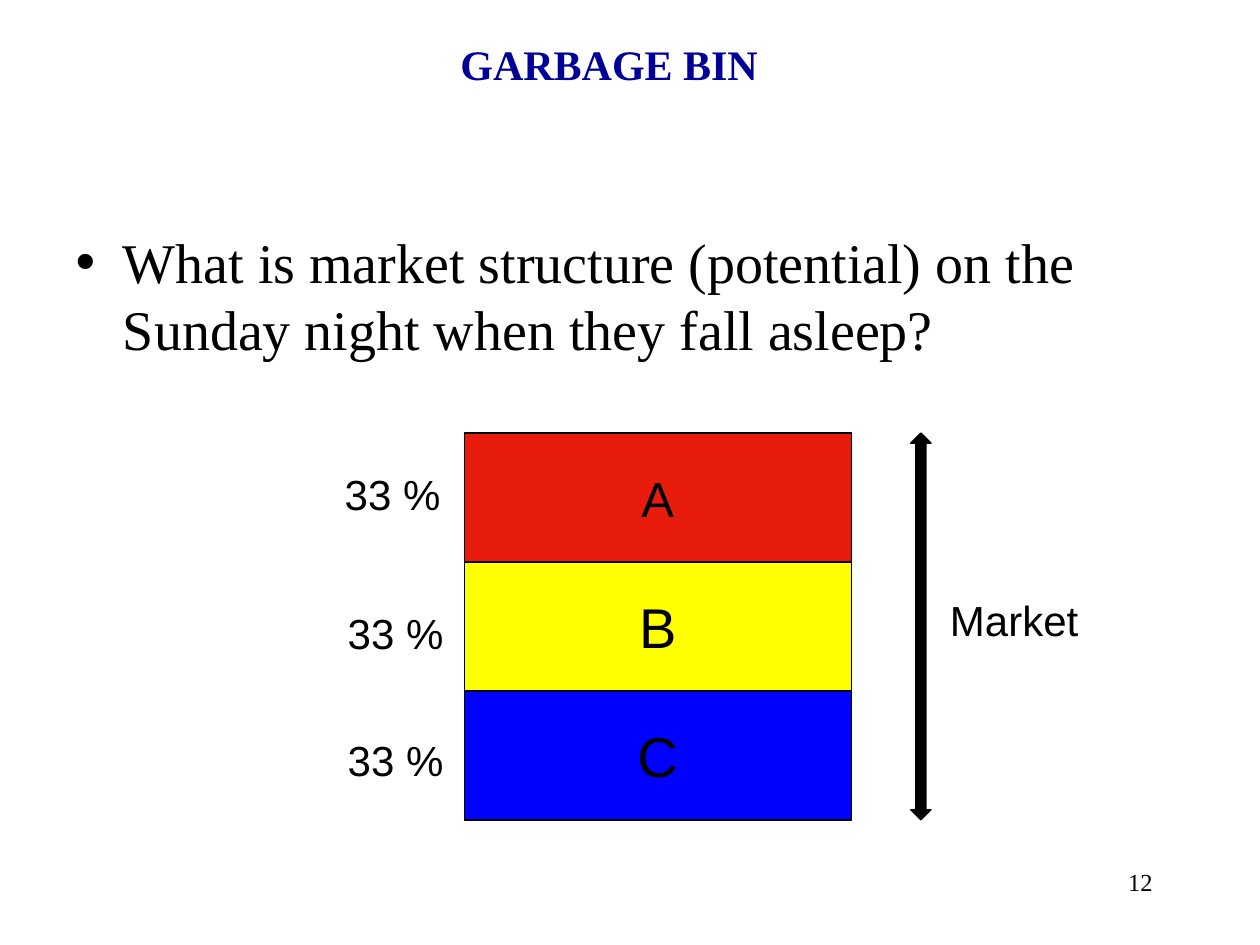
from dataclasses import dataclass

from pptx import Presentation
from pptx.dml.color import RGBColor
from pptx.enum.shapes import MSO_SHAPE
from pptx.enum.text import MSO_ANCHOR, MSO_AUTO_SIZE, PP_ALIGN
from pptx.util import Cm, Pt

RECTANGLE, ARROW = MSO_SHAPE.RECTANGLE, MSO_SHAPE.UP_DOWN_ARROW
LEFT, CENTER, RIGHT = PP_ALIGN.LEFT, PP_ALIGN.CENTER, PP_ALIGN.RIGHT
TOP, MIDDLE = MSO_ANCHOR.TOP, MSO_ANCHOR.MIDDLE
FIXED = MSO_AUTO_SIZE.NONE


@dataclass(frozen=True)
class Theme:
    serif: str = "Times New Roman"
    sans: str = "Arial"
    ink: str = "000000"
    title: str = "000099"
    red: str = "E81C0C"
    yellow: str = "FFFF00"
    blue: str = "0000FF"
    body_size: int = 32
    small_letter_size: int = 28
    label_size: int = 24
    number_size: int = 14
    line_width: float = 0.75


theme = Theme()


def write(shape, text, font, size, color=theme.ink, align=LEFT, anchor=TOP, wrap=True):
    """Put one formatted paragraph in a shape."""
    frame = shape.text_frame
    frame.text = text
    frame.auto_size = FIXED
    frame.word_wrap = wrap
    frame.vertical_anchor = anchor
    para = frame.paragraphs[0]
    para.alignment = align
    span = para.runs[0]
    span.font.name = font
    span.font.size = Pt(size)
    span.font.color.rgb = RGBColor.from_string(color)
    return span


def add_filled(kind, left, top, width, height, color):
    shape = page.shapes.add_shape(kind, Cm(left), Cm(top), Cm(width), Cm(height))
    shape.shadow.inherit = False
    shape.fill.solid()
    shape.fill.fore_color.rgb = RGBColor.from_string(color)
    shape.line.color.rgb = RGBColor.from_string(theme.ink)
    shape.line.width = Pt(theme.line_width)
    return shape


deck = Presentation()
deck.slide_width, deck.slide_height = Cm(25.4), Cm(19.05)
page = deck.slides.add_slide(deck.slide_layouts[1])

# Title and question
title = page.shapes.title
title.left, title.top, title.width, title.height = Cm(8.05), Cm(0.64), Cm(8.46), Cm(1.27)
write(title, "GARBAGE BIN", theme.serif, theme.label_size, theme.title, CENTER).font.bold = True

body = page.placeholders[1]
body.left, body.top, body.width, body.height = Cm(1.27), Cm(4.45), Cm(22.86), Cm(12.57)
write(body, "What is market structure (potential) on the Sunday night when they fall asleep?",
      theme.serif, theme.body_size)

# Market shares, stacked from top to bottom
stack_left, stack_top, stack_width, band_height = 9.36, 8.73, 7.8, 2.6
bands = [
    ("A", theme.red, theme.small_letter_size),
    ("B", theme.yellow, theme.body_size),
    ("C", theme.blue, theme.body_size),
]
for index, (letter, color, size) in enumerate(bands):
    top = stack_top + index * band_height
    band = add_filled(RECTANGLE, stack_left, top, stack_width, band_height, color)
    write(band, letter, theme.sans, size, align=CENTER, anchor=MIDDLE, wrap=False)

# Arrow spanning the whole market: head length first, then shaft width
arrow = add_filled(ARROW, 18.36, stack_top, 0.41, len(bands) * band_height, theme.ink)
arrow.adjustments[0] = 3.89
arrow.adjustments[1] = 0.5

# Labels beside the stack
labels = [
    ("33 %", 6.7, 9.32, 2.44),
    ("33 %", 6.76, 12.12, 2.44),
    ("33 %", 6.76, 14.68, 2.44),
    ("Market", 18.9, 11.86, 3.1),
]
for text, left, top, width in labels:
    box = page.shapes.add_textbox(Cm(left), Cm(top), Cm(width), Cm(1.27))
    write(box, text, theme.sans, theme.label_size, wrap=False)

page_number = page.shapes.add_textbox(Cm(18.21), Cm(17.35), Cm(5.28), Cm(1.27))
write(page_number, "12", theme.serif, theme.number_size, align=RIGHT)

deck.save("out.pptx")
